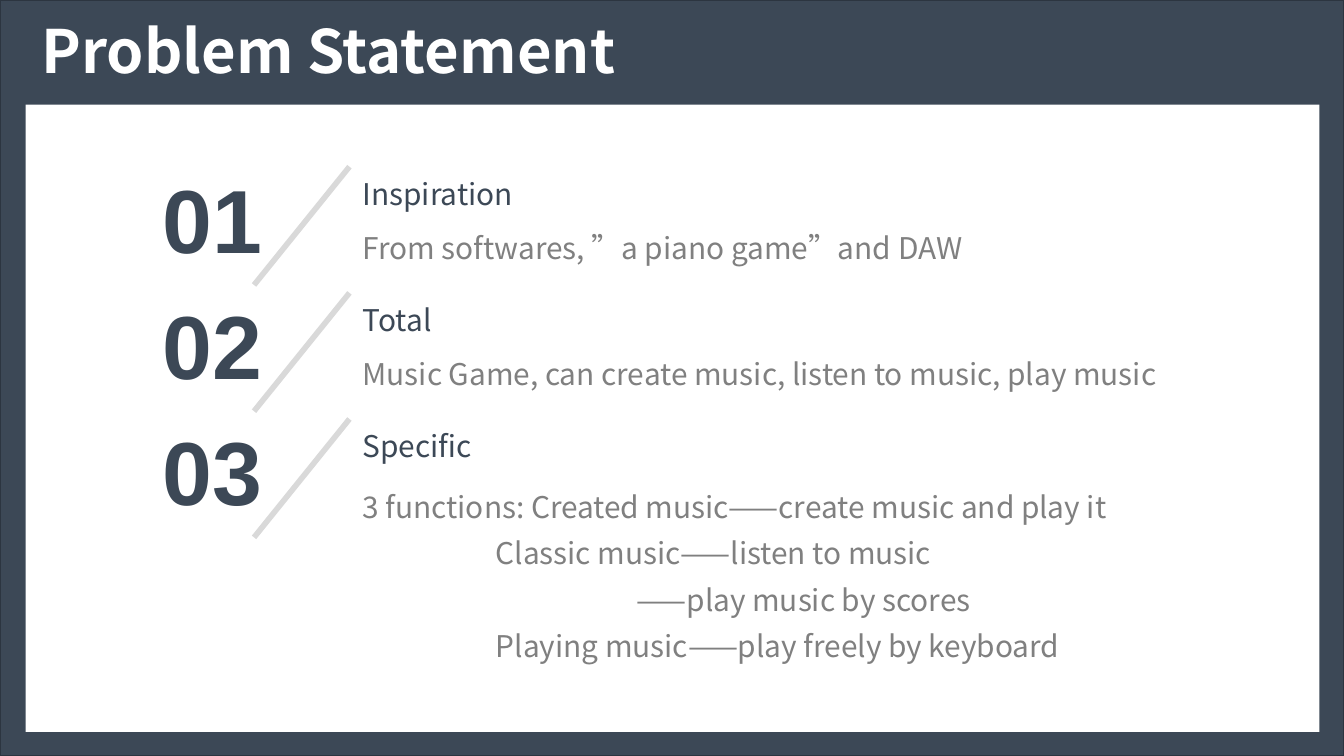
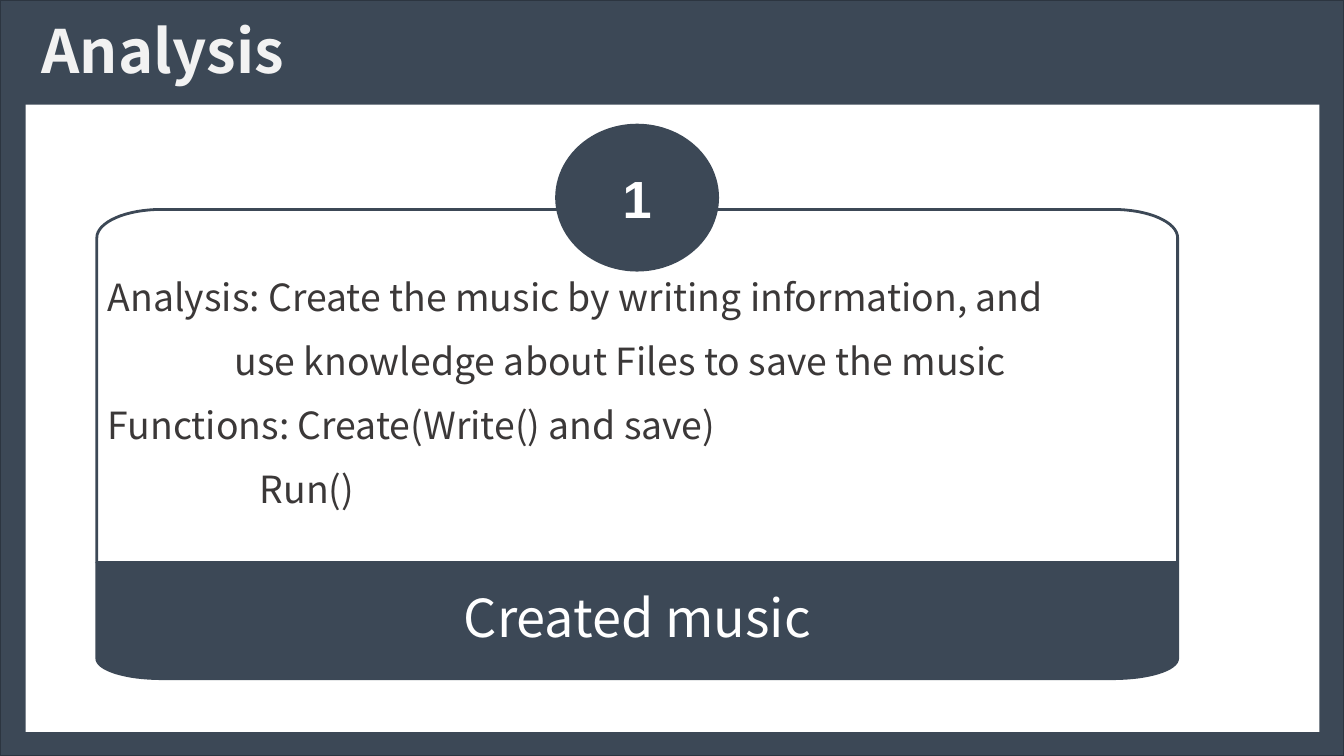
from dataclasses import dataclass
from math import cos, pi, sin
from typing import Any

from lxml import etree
from pptx import Presentation
from pptx import util as u
from pptx.dml import color
from pptx.enum import shapes, text
from pptx.oxml import ns

INK = {
    "slate": "3C4856", "edge": "2C3540", "white": "FFFFFF", "pale": "F2F2F2",
    "slash": "D9D9D9", "grey": "808080", "dark": "3B3838",
}
SANS = "Noto Sans CJK SC"
WIDE, HIGH = 720, 405
LEFT, MID, JUST = text.PP_ALIGN.LEFT, text.PP_ALIGN.CENTER, text.PP_ALIGN.JUSTIFY


@dataclass
class Box:
    x: float
    y: float
    w: float
    h: float

    def pts(self) -> list[u.Length]:
        return [u.Pt(n) for n in (self.x, self.y, self.w, self.h)]


@dataclass
class Style:
    size: float
    ink: str
    font: str = SANS
    bold: bool = False
    align: Any = LEFT
    lead: float = 1.0
    after: float = 0


@dataclass
class Line:
    words: str
    inset: float = 0


@dataclass
class Item:
    head: str
    body: list[Line]
    top: float
    high: float


TITLE = Style(32, "white", bold=True, lead=0.9)
COUNT = Style(48, "slate", "Arial", True, MID)
HEAD = Style(16, "slate")
BODY = Style(16, "grey", align=JUST, lead=1.3)
NOTE = Style(20, "dark", lead=1.3, after=3)
LABEL = Style(28, "white", align=MID, lead=0.9)
BADGE = Style(28, "white", "Arial", True, MID)

ITEMS = [
    Item("Inspiration", [Line("From softwares, ”a piano game”and DAW")], 112.3, 34.6),
    Item("Total", [Line("Music Game, can create music, listen to music, play music")], 179.3, 36),
    Item("Specific", [
        Line("3 functions: Created music——create music and play it"),
        Line("Classic music——listen to music", 71.3),
        Line("——play music by scores", 146.8),
        Line("Playing music——play freely by keyboard", 71.3),
    ], 233.3, 144.7),
]
NOTES = [
    Line("Analysis: Create the music by writing information, and"),
    Line("use knowledge about Files to save the music", 68),
    Line("Functions: Create(Write() and save)"),
    Line("Run()", 81.4),
]


def tint(name: str) -> color.RGBColor:
    return color.RGBColor.from_string(INK[name])


def write(shape: Any, lines: list[Line], style: Style, wrap: bool = True) -> None:
    frame = shape.text_frame
    frame.word_wrap = wrap
    frame.vertical_anchor = text.MSO_ANCHOR.MIDDLE
    for i, line in enumerate(lines):
        para = frame.add_paragraph() if i else frame.paragraphs[0]
        para.alignment = style.align
        para.line_spacing = style.lead
        para.space_after = u.Pt(style.after)
        if line.inset:
            para._p.get_or_add_pPr().set("marL", str(u.Pt(line.inset)))
        run = para.add_run()
        run.text = line.words
        font = run.font
        font.name, font.size, font.bold = style.font, u.Pt(style.size), style.bold
        font.color.rgb = tint(style.ink)
        east = etree.SubElement(run._r.get_or_add_rPr(), ns.qn("a:ea"))
        east.set("typeface", style.font)


def paint(shape: Any, fill: str, edge: str = "", width: float = 1) -> None:
    shape.shadow.inherit = False
    shape.fill.solid()
    shape.fill.fore_color.rgb = tint(fill)
    if edge:
        shape.line.color.rgb = tint(edge)
        shape.line.width = u.Pt(width)
    else:
        shape.line.fill.background()


def label(slide: Any, box: Box, lines: list[Line], style: Style, wrap: bool = True) -> None:
    write(slide.shapes.add_textbox(*box.pts()), lines, style, wrap)


def solid(slide: Any, kind: Any, box: Box, fill: str, edge: str = "") -> Any:
    shape = slide.shapes.add_shape(kind, *box.pts())
    paint(shape, fill, edge)
    return shape


def slash(slide: Any, x: float, y: float) -> None:
    ends = [u.Pt(n) for n in (x, y, x - 51.1, y + 63.4)]
    line = slide.shapes.add_connector(shapes.MSO_CONNECTOR.STRAIGHT, *ends)
    line.line.color.rgb = tint("slash")
    line.line.width = u.Pt(3)
    etree.SubElement(line._element.spPr, ns.qn("a:effectLst"))


def panel(slide: Any, box: Box, curve: float, above: bool, fill: str) -> Any:
    wide, steps = 34.6, 16
    right, base = box.x + box.w, box.y + box.h
    turn = [i * pi / 2 / steps for i in range(steps + 1)]
    arc = [(wide * (1 - cos(t)), curve * (1 - sin(t))) for t in turn]
    rim, flat, way = (box.y, base, 1) if above else (base, box.y, -1)
    dots = [(box.x, flat)]
    dots += [(box.x + dx, rim + way * dy) for dx, dy in arc]
    dots += [(right - dx, rim + way * dy) for dx, dy in reversed(arc)]
    dots += [(right, flat)]
    spots = [(u.Pt(x), u.Pt(y)) for x, y in dots]
    pen = slide.shapes.build_freeform(*spots[0])
    pen.add_line_segments(spots[1:], close=True)
    shape = pen.convert_to_shape()
    paint(shape, fill, "slate", 1.5)
    return shape


def pad(shape: Any, side: float) -> None:
    frame = shape.text_frame
    frame.margin_left = frame.margin_right = u.Pt(side)
    frame.margin_top = frame.margin_bottom = u.Pt(0)


def start(deck: Any, title: str, ink: str) -> Any:
    slide = deck.slides.add_slide(deck.slide_layouts[6])
    rect = shapes.MSO_SHAPE.RECTANGLE
    solid(slide, rect, Box(0, 0, WIDE, HIGH), "slate", "edge")
    solid(slide, rect, Box(13.8, 56.1, 693, 336), "white")
    style = Style(TITLE.size, ink, bold=TITLE.bold, lead=TITLE.lead)
    label(slide, Box(15.2, 2.2, 620.6, 54), [Line(title)], style)
    return slide


def state(deck: Any) -> None:
    slide = start(deck, "Problem Statement", "white")
    x, wide, top, pitch = 187.2, 461.5, 89.3, 67.6
    for i, item in enumerate(ITEMS):
        y = top + i * pitch
        slash(slide, x, y)
        label(slide, Box(x, item.top, wide, item.high), item.body, BODY)
        label(slide, Box(x, y + 4.3, wide, 20.2), [Line(item.head)], HEAD, False)
        label(slide, Box(76.3, y, 74.9, 54.7), [Line(f"{i + 1:02}")], COUNT, False)


def study(deck: Any) -> None:
    slide = start(deck, "Analysis", "pale")
    x, wide, seam = 51.9, 579, 301.4
    card = panel(slide, Box(x, 112.2, wide, seam - 112.2), 15.2, True, "white")
    clear = card._element.spPr.find(".//" + ns.qn("a:srgbClr"))
    etree.SubElement(clear, ns.qn("a:alpha")).set("val", "90000")
    pad(card, 5.8)
    write(card, NOTES, NOTE)
    band = panel(slide, Box(x, seam, wide, 62.2), 10.8, False, "slate")
    pad(band, 0)
    write(band, [Line("Created music")], LABEL)
    disc = solid(slide, shapes.MSO_SHAPE.OVAL, Box(297.4, 66.3, 87.8, 79.2), "slate")
    write(disc, [Line("1")], BADGE)


def main() -> None:
    deck = Presentation()
    deck.slide_width, deck.slide_height = u.Pt(WIDE), u.Pt(HIGH)
    state(deck)
    study(deck)
    deck.save("out.pptx")


main()
